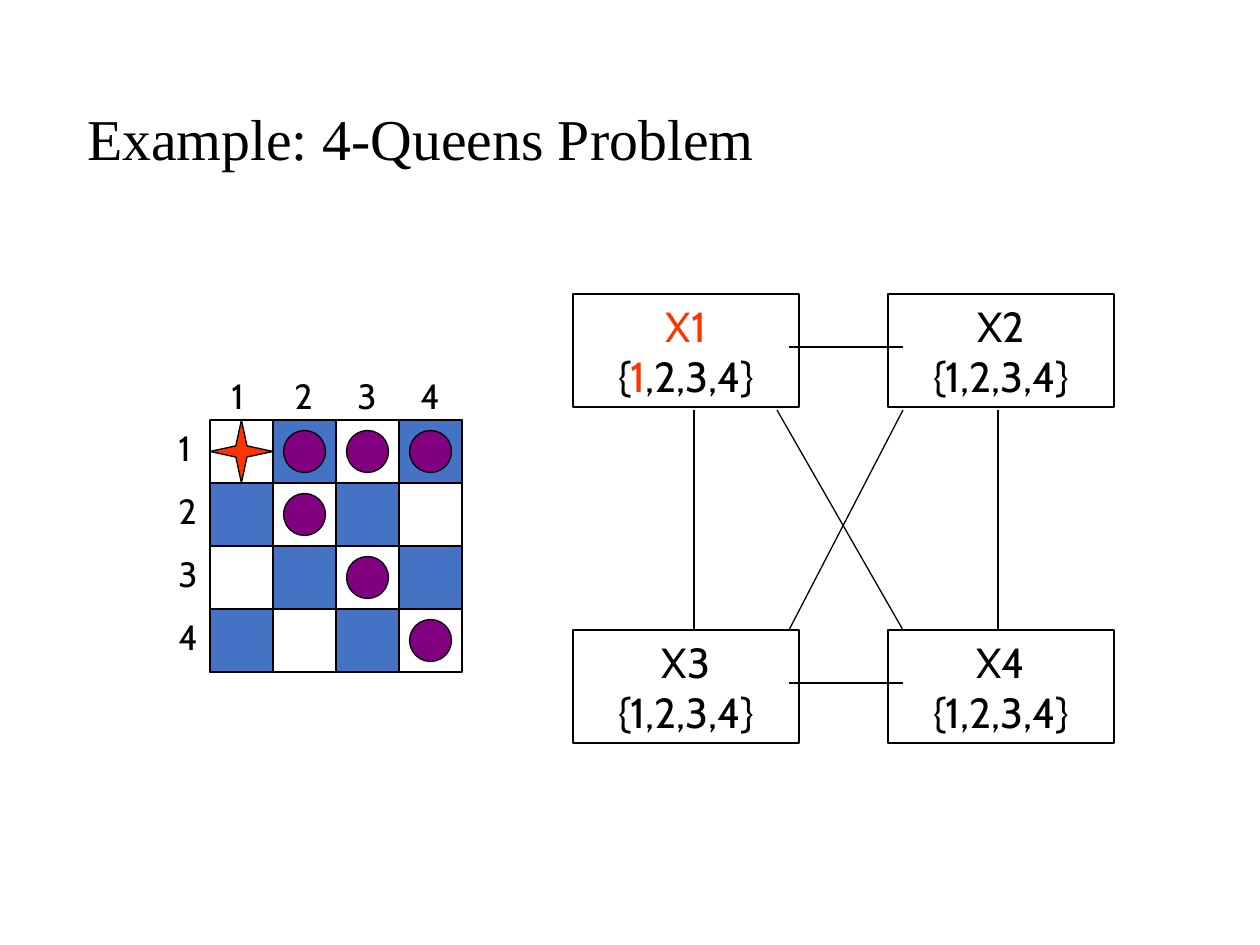
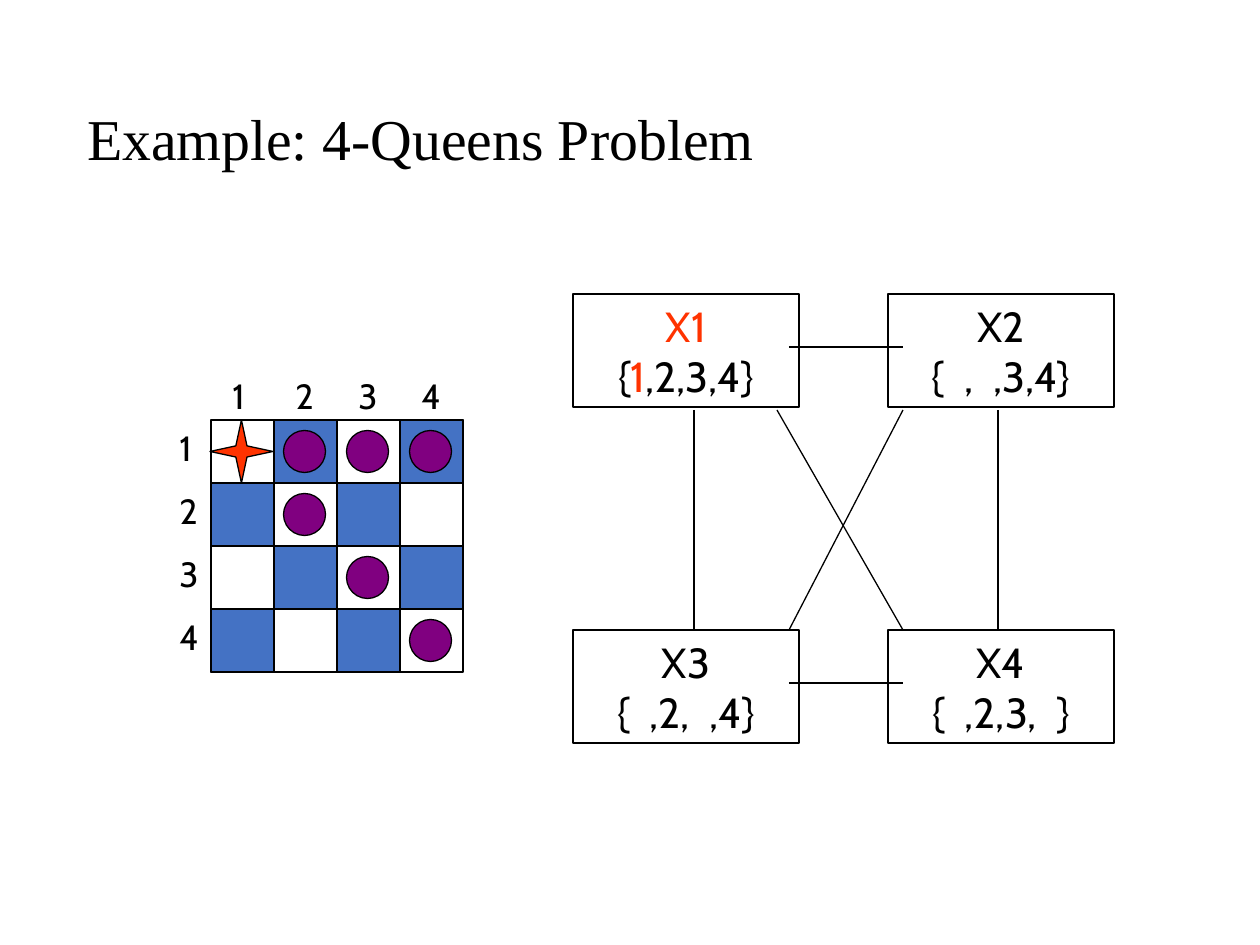
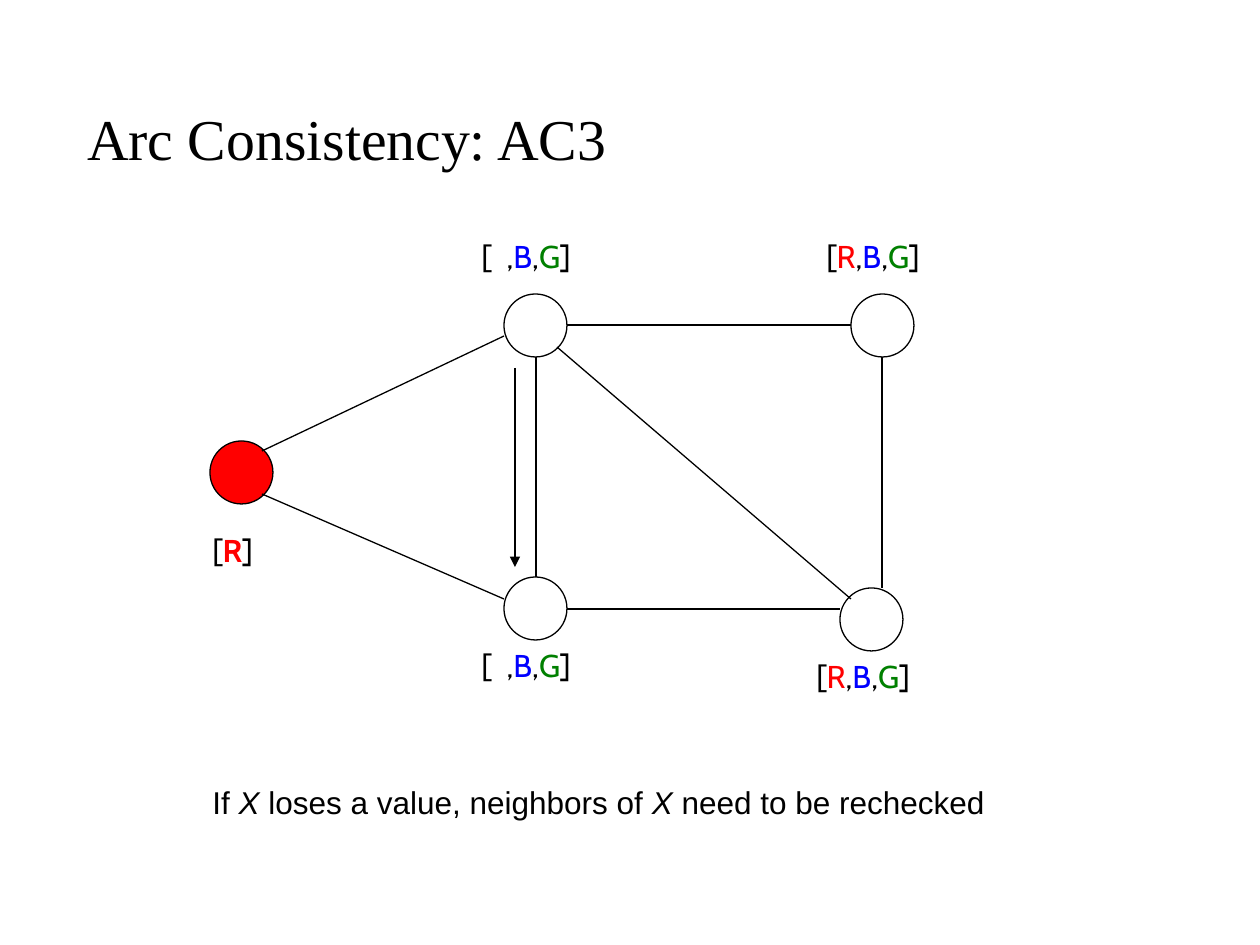
from itertools import groupby

from lxml.etree import SubElement
from pptx import Presentation
from pptx.dml.color import RGBColor
from pptx.enum.shapes import MSO_CONNECTOR, MSO_SHAPE
from pptx.enum.text import MSO_ANCHOR, MSO_AUTO_SIZE, PP_ALIGN
from pptx.oxml.ns import qn
from pptx.util import Emu, Pt

# Shared look
BLACK, SQUARE_BLUE, QUEEN_RED, ATTACK_PURPLE = "000000", "4472C4", "FF3300", "800080"
SERIF, LABEL_FONT, SANS = "Times New Roman", "Cabin", "Arial"
TITLE_BOX = (87, 50, 1086, 183)
CELL, DOT, NODE = 63, 42, 63
LABEL_W, LABEL_H = 47, 54

# Queens slides: board and constraint graph
QUEENS_TITLE = "Example: 4-Queens Problem"
N = 4
BOARD_LEFT, BOARD_TOP = 210, 420
ATTACKED = [(0, 1), (0, 2), (0, 3), (1, 1), (2, 2), (3, 3)]
VARIABLES = {"X1": (573, 294), "X2": (888, 294), "X3": (573, 630), "X4": (888, 630)}
VARIABLE_SIZE = (226, 113)
CONSTRAINTS = [
    (789, 347, 903, 347), (694, 410, 694, 630), (789, 683, 903, 683),
    (998, 410, 998, 630), (777, 410, 903, 630), (903, 410, 789, 630),
]
ASSIGNED = {"X": {"color": QUEEN_RED}, "1": {"color": QUEEN_RED}}
# Board offset and the domain of each variable; a space is a removed value
QUEENS_STEPS = [
    (0, {"X1": "1234", "X2": "1234", "X3": "1234", "X4": "1234"}),
    (1, {"X1": "1234", "X2": "  34", "X3": " 2 4", "X4": " 23 "}),
]

# Arc consistency slide
AC3_TITLE = "Arc Consistency: AC3"
NODES = [(210, 441, "FF0000"), (504, 577, None), (504, 294, None),
         (840, 588, None), (851, 294, None)]
EDGES = [
    (262, 451, 504, 336), (262, 494, 504, 599), (536, 357, 536, 577),
    (567, 325, 851, 325), (882, 357, 882, 588), (567, 609, 840, 609),
    (557, 347, 851, 599),
]
ARC = (515, 368, 515, 567)
COLOUR_STYLES = {"R": {"color": "FF0000"}, "B": {"color": "0000FF"},
                 "G": {"color": "008000"}}
FIXED_STYLES = {"R": {"color": "FF0000", "bold": True}}
COLOUR_DOMAINS = [
    (200, 525, 74, "R", FIXED_STYLES), (814, 231, 137, "RBG", COLOUR_STYLES),
    (469, 231, 136, " BG", COLOUR_STYLES), (469, 640, 136, " BG", COLOUR_STYLES),
    (804, 651, 137, "RBG", COLOUR_STYLES),
]
CAPTION = "If X loses a value, neighbors of X need to be rechecked"
CAPTION_BOX = (200, 777, 851, 50)


def px(*lengths):
    return [Emu(round(n * 914400 / 126)) for n in lengths]


def rgb(value):
    return RGBColor.from_string(value)


def write(p, text, size, font=LABEL_FONT, styles={}):
    """Split the text into runs wherever the style of its characters changes."""
    for style, chars in groupby(text, lambda ch: styles.get(ch, {})):
        r = p.add_run()
        r.text = "".join(chars)
        r.font.size, r.font.name = Pt(size), font
        r.font.color.rgb = rgb(style.get("color", BLACK))
        r.font.bold, r.font.italic = style.get("bold"), style.get("italic")
        if "gap" in style:
            r.font._element.set("spc", str(style["gap"]))


def write_domain(p, values, brackets, size, styles):
    """List the values; a removed one leaves a gap two spaces wide."""
    text = brackets[0] + ",".join(values) + brackets[1]
    write(p, text, size, styles={**styles, " ": {"gap": size * 25}})


def fit(tf, wrap=False):
    tf.word_wrap, tf.auto_size = wrap, MSO_AUTO_SIZE.SHAPE_TO_FIT_TEXT
    tf.vertical_anchor = MSO_ANCHOR.TOP
    return tf


def add_label(shapes, box, wrap=False):
    return fit(shapes.add_textbox(*px(*box)).text_frame, wrap).paragraphs[0]


def add_outlined(shapes, kind, box, fill=None):
    sp = shapes.add_shape(kind, *px(*box))
    sp.shadow.inherit = False
    if fill:
        sp.fill.solid()
        sp.fill.fore_color.rgb = rgb(fill)
    else:
        sp.fill.background()
    sp.line.color.rgb, sp.line.width = rgb(BLACK), Pt(0.75)
    return sp


def add_line(shapes, ends, arrow=False):
    line = shapes.add_connector(MSO_CONNECTOR.STRAIGHT, *px(*ends))
    line.line.color.rgb, line.line.width = rgb(BLACK), Pt(0.75)
    if arrow:
        SubElement(line.line._get_or_add_ln(), qn("a:tailEnd"), type="triangle")
    SubElement(line._element.spPr, qn("a:effectLst"))


def add_titled_slide(prs, title):
    s = prs.slides.add_slide(prs.slide_layouts[5])
    sp = s.shapes.title
    sp.left, sp.top, sp.width, sp.height = px(*TITLE_BOX)
    tf = sp.text_frame
    tf.margin_left = tf.margin_right = tf.margin_top = tf.margin_bottom = 0
    tf.word_wrap, tf.auto_size = True, MSO_AUTO_SIZE.NONE
    tf.vertical_anchor = MSO_ANCHOR.MIDDLE
    p = tf.paragraphs[0]
    p.alignment, p.line_spacing = PP_ALIGN.LEFT, 0.9
    write(p, title, 33, SERIF)
    return s


def add_board(shapes, left, top):
    add_outlined(shapes, MSO_SHAPE.RECTANGLE, (left, top, N * CELL, N * CELL))
    for row in range(N):
        for col in range(N):
            if (row + col) % 2:
                box = (left + col * CELL, top + row * CELL, CELL, CELL)
                add_outlined(shapes, MSO_SHAPE.RECTANGLE, box, SQUARE_BLUE)
    for i in range(N):
        for x, y in [(left - 44, top + i * CELL), (left + 9 + i * CELL, top - 52)]:
            write(add_label(shapes, (x, y, LABEL_W, LABEL_H)), str(i + 1), 20)


def add_constraint_graph(shapes, domains):
    for name, place in VARIABLES.items():
        sp = add_outlined(shapes, MSO_SHAPE.RECTANGLE, place + VARIABLE_SIZE)
        tf = fit(sp.text_frame)
        styles = ASSIGNED if name == "X1" else {}
        write(tf.paragraphs[0], name, 24, styles=styles)
        write_domain(tf.add_paragraph(), domains[name], "{}", 24, styles)
        for p in tf.paragraphs:
            p.alignment = PP_ALIGN.CENTER
    for ends in CONSTRAINTS:
        add_line(shapes, ends)


def add_queens_slide(prs, offset, domains):
    s = add_titled_slide(prs, QUEENS_TITLE)
    add_board(s.shapes.add_group_shape().shapes, BOARD_LEFT + offset, BOARD_TOP)
    add_constraint_graph(s.shapes.add_group_shape().shapes, domains)
    # Queen and the squares it attacks
    queen = add_outlined(s.shapes, MSO_SHAPE.STAR_4_POINT,
                         (BOARD_LEFT, BOARD_TOP, CELL, CELL), QUEEN_RED)
    queen.adjustments[0] = 0.125
    dots = s.shapes.add_group_shape().shapes
    inset = (CELL - DOT) / 2
    for row, col in ATTACKED:
        box = (BOARD_LEFT + col * CELL + inset, BOARD_TOP + row * CELL + inset, DOT, DOT)
        add_outlined(dots, MSO_SHAPE.OVAL, box, ATTACK_PURPLE)


def add_ac3_slide(prs):
    s = add_titled_slide(prs, AC3_TITLE)
    for x, y, fill in NODES:
        add_outlined(s.shapes, MSO_SHAPE.OVAL, (x, y, NODE, NODE), fill)
    for ends in EDGES:
        add_line(s.shapes, ends)
    for x, y, width, values, styles in COLOUR_DOMAINS:
        p = add_label(s.shapes, (x, y, width, 50))
        write_domain(p, values, "[]", 18, styles)
    add_line(s.shapes, ARC, arrow=True)
    p = add_label(s.shapes, CAPTION_BOX, wrap=True)
    write(p, CAPTION, 18, SANS, {"X": {"italic": True}})


def main():
    prs = Presentation()
    prs.slide_width, prs.slide_height = px(1260, 945)
    for offset, domains in QUEENS_STEPS:
        add_queens_slide(prs, offset, domains)
    add_ac3_slide(prs)
    prs.save("out.pptx")


if __name__ == "__main__":
    main()
